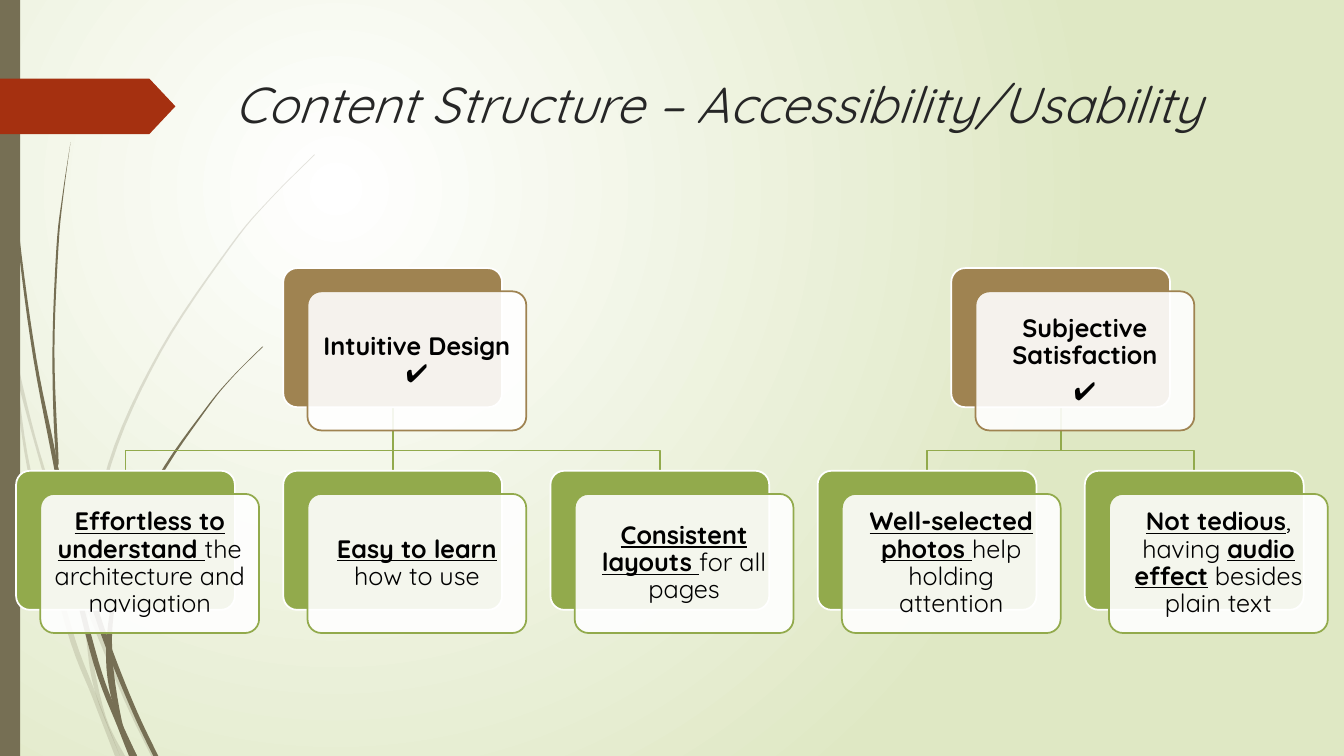
import pptx
import pptx.dml.color
import pptx.enum.shapes
import pptx.enum.text
import pptx.oxml
import pptx.oxml.ns
import pptx.util

SHAPES = pptx.enum.shapes.MSO_SHAPE
WIDTH, HEIGHT = 13.33, 7.5
GRID_LEFT, COLUMN = 0.16, 2.65
ROWS = [2.66, 4.67]
CARD_WIDTH, CARD_HEIGHT = 2.17, 1.38
SHIFT_X, SHIFT_Y = 0.24, 0.23
BRANCH_Y = 4.47
FONT = "Quicksand"
WHITE, BROWN, GREEN, OLIVE, RUST = "FFFFFF", "9F8351", "92AA4C", "766F54", "A53010"

PALE_BLADES = [
    ([(0, 2.99), (0.11, 3.5), (0.28, 4.7), (0.65, 6.21), (0.92, 6.93), (1.14, 7.5)],
     [(0, 2.82), (0.09, 3.22), (0.17, 3.76), (0.31, 4.69), (0.7, 6.19), (0.93, 6.83), (1.19, 7.5)]),
    ([(0.14, 3.45), (0.17, 3.76), (0.58, 5.22), (0.84, 5.99), (1.23, 6.94), (1.5, 7.5)],
     [(0.14, 3.45), (0.35, 4.33), (0.62, 5.2), (0.85, 5.86), (1.27, 6.92), (1.55, 7.5)]),
    ([(3.12, 1.53), (2.68, 1.97), (2.28, 2.44), (1.58, 3.48), (1.07, 4.61), (0.85, 5.84),
      (0.87, 6.46), (0.96, 6.92), (1.19, 7.5)],
     [(3.12, 1.54), (2.68, 1.98), (2.29, 2.45), (1.6, 3.49), (1.1, 4.62), (0.88, 5.84),
      (0.91, 6.46), (1.05, 7.11), (1.24, 7.5)]),
]
DARK_BLADES = [
    ([(0.03, 0), (0.07, 1.1), (0.17, 2.33), (0.33, 3.55), (0.56, 4.77), (0.68, 5.57),
      (0.93, 6.59), (1.17, 7.22), (1.28, 7.5)],
     [(0.04, 0), (0.08, 1.09), (0.19, 2.32), (0.36, 3.55), (0.55, 4.49), (0.64, 5.05),
      (0.72, 5.56), (0.98, 6.57), (1.16, 7.06), (1.36, 7.5)]),
    ([(0.7, 1.41), (0.62, 1.93), (0.56, 2.45), (0.52, 3.49), (0.55, 4.49), (0.64, 5.05),
      (0.88, 5.92), (1.06, 6.45), (1.32, 7.08), (1.52, 7.5)],
     [(0.7, 1.41), (0.63, 1.93), (0.58, 2.45), (0.54, 3.49), (0.58, 4.53), (0.6, 4.72),
      (0.93, 5.9), (1.13, 6.49), (1.36, 7.06), (1.57, 7.5)]),
    ([(2.6, 3.44), (2.31, 3.73), (2.04, 4.05), (1.56, 4.74), (1.22, 5.51), (1.06, 6.31),
      (1.1, 6.91), (1.33, 7.5)],
     [(2.61, 3.44), (2.31, 3.74), (2.05, 4.06), (1.58, 4.76), (1.25, 5.52), (1.11, 6.33),
      (1.21, 7.16), (1.36, 7.5)]),
]

GOALS = [
    (1, [[("Intuitive Design ✔️", True)]]),
    (3.5, [[("Subjective Satisfaction", True)], [("✔️", True)]]),
]
MEANS = [
    [("Effortless to understand ", True), ("the architecture and navigation", False)],
    [("Easy to learn ", True), ("how to use", False)],
    [("Consistent layouts ", True), ("for all pages", False)],
    [("Well-selected photos ", True), ("help holding attention", False)],
    [("Not tedious", True), (", having ", False), ("audio effect", True),
     (" besides plain text", False)],
]
BRANCHES = [(3.5, 4), (3.5, 3), (1, 2), (1, 0)]


def inches(*lengths):
    return [pptx.util.Inches(length) for length in lengths]


def color(hex_code):
    return pptx.dml.color.RGBColor.from_string(hex_code)


def xml(tag, attributes, inner=""):
    namespace = pptx.oxml.ns.nsdecls("a")
    return pptx.oxml.parse_xml(f"<a:{tag} {namespace} {attributes}>{inner}</a:{tag}>")


def paint(shape, fill, opacity=100, outline=None):
    shape.shadow.inherit = False
    shape.fill.solid()
    shape.fill.fore_color.rgb = color(fill)
    if opacity < 100:
        solid = shape.element.spPr.find(pptx.oxml.ns.qn("a:solidFill"))
        solid[0].append(xml("alpha", f'val="{opacity * 1000}"'))
    if outline:
        stroke(shape, outline)
    else:
        shape.line.fill.background()


def stroke(shape, hex_code):
    shape.line.color.rgb = color(hex_code)
    shape.line.width = pptx.util.Pt(1.25)


def smooth(points, steps=6):
    padded = [points[0], *points, points[-1]]
    curve = []
    for a, b, c, d in zip(padded, padded[1:], padded[2:], padded[3:]):
        for step in range(steps):
            t = step / steps
            curve.append(tuple(
                (2 * q + (r - p) * t + (2 * p - 5 * q + 4 * r - s) * t ** 2
                 + (3 * q - p - 3 * r + s) * t ** 3) / 2
                for p, q, r, s in zip(a, b, c, d)))
    return curve + [points[-1]]


def outline_of(slide, points, close):
    start, *rest = [inches(*point) for point in points]
    builder = slide.shapes.build_freeform(*start)
    builder.add_line_segments(rest, close=close)
    return builder.convert_to_shape()


def add_blades(slide, blades, opacity):
    for left_edge, right_edge in blades:
        points = smooth(left_edge) + smooth(right_edge)[::-1]
        paint(outline_of(slide, points, True), OLIVE, opacity)


def add_background(slide):
    backdrop = slide.background.fill
    backdrop.gradient()
    for stop, shade in zip(backdrop.gradient_stops, [WHITE, "DFE8C4"]):
        stop.color.rgb = color(shade)
    linear = slide.element.find(".//" + pptx.oxml.ns.qn("a:lin"))
    focus = '<a:fillToRect l="50000" t="50000" r="100000" b="100000"/>'
    linear.getparent().replace(linear, xml("path", 'path="circle"', focus))


def add_title(slide, wording):
    title = slide.shapes.title
    title.left, title.top, title.width, title.height = inches(2.23, 0.68, 10.35, 1.4)
    title.text_frame.text = wording
    title.text_frame.vertical_anchor = pptx.enum.text.MSO_ANCHOR.TOP
    heading = title.text_frame.paragraphs[0]
    heading.alignment = pptx.enum.text.PP_ALIGN.LEFT
    set_font(heading, 36, "262626")
    heading.font.italic = True


def set_font(paragraph, size, hex_code):
    paragraph.font.name = FONT
    paragraph.font.size = pptx.util.Pt(size)
    paragraph.font.color.rgb = color(hex_code)


def middle(column):
    return GRID_LEFT + column * COLUMN + CARD_WIDTH / 2


def add_branch(slide, start, end):
    top = ROWS[0] + CARD_HEIGHT
    points = [(middle(start), top), (middle(start), BRANCH_Y),
              (middle(end), BRANCH_Y), (middle(end), ROWS[1])]
    branch = outline_of(slide, points, False)
    branch.shadow.inherit = False
    branch.fill.background()
    stroke(branch, GREEN)


def add_stem(slide, column):
    x = middle(column)
    stem = slide.shapes.add_connector(
        pptx.enum.shapes.MSO_CONNECTOR.STRAIGHT,
        *inches(x, ROWS[0] + CARD_HEIGHT, x, ROWS[1]))
    stem.element.spPr.append(xml("effectLst", ""))
    stroke(stem, GREEN)
    return stem


def add_panel(slide, x, y, fill, opacity, outline):
    panel = slide.shapes.add_shape(
        SHAPES.ROUNDED_RECTANGLE, *inches(x, y, CARD_WIDTH, CARD_HEIGHT))
    panel.adjustments[0] = 0.1
    paint(panel, fill, opacity, outline)
    return panel


def add_card(slide, column, row, accent, paragraphs, underlined):
    x, y = GRID_LEFT + column * COLUMN, ROWS[row]
    back = add_panel(slide, x, y, accent, 100, WHITE)
    front = add_panel(slide, x + SHIFT_X, y + SHIFT_Y, WHITE, 90, accent)
    frame = front.text_frame
    frame.word_wrap = True
    frame.vertical_anchor = pptx.enum.text.MSO_ANCHOR.MIDDLE
    (frame.margin_left, frame.margin_top,
     frame.margin_right, frame.margin_bottom) = inches(*[0.07] * 4)
    for index, pieces in enumerate(paragraphs):
        paragraph = frame.add_paragraph() if index else frame.paragraphs[0]
        paragraph.alignment = pptx.enum.text.PP_ALIGN.CENTER
        paragraph.line_spacing = 0.9
        paragraph.space_after = pptx.util.Pt(6.3)
        set_font(paragraph, 18, "000000")
        for wording, strong in pieces:
            run = paragraph.add_run()
            run.text = wording
            run.font.bold = strong
            run.font.underline = strong and underlined
    return back


def main():
    deck = pptx.Presentation()
    deck.slide_width, deck.slide_height = inches(WIDTH, HEIGHT)
    slide = deck.slides.add_slide(deck.slide_layouts[5])
    add_background(slide)
    add_blades(slide, PALE_BLADES, 20)
    add_blades(slide, DARK_BLADES, 100)
    edge = slide.shapes.add_shape(SHAPES.RECTANGLE, *inches(0, 0, 0.2, HEIGHT))
    paint(edge, OLIVE)
    tag = slide.shapes.add_shape(SHAPES.PENTAGON, *inches(0, 0.78, 1.74, 0.55))
    tag.adjustments[0] = 0.47
    paint(tag, RUST)
    add_title(slide, "Content Structure – Accessibility/Usability")
    for start, end in BRANCHES:
        add_branch(slide, start, end)
    stem = add_stem(slide, 1)
    goals = [add_card(slide, column, 0, BROWN, paragraphs, False)
             for column, paragraphs in GOALS]
    means = [add_card(slide, column, 1, GREEN, [pieces], True)
             for column, pieces in enumerate(MEANS)]
    stem.begin_connect(goals[0], 2)
    stem.end_connect(means[1], 0)
    deck.save("out.pptx")


if __name__ == "__main__":
    main()
